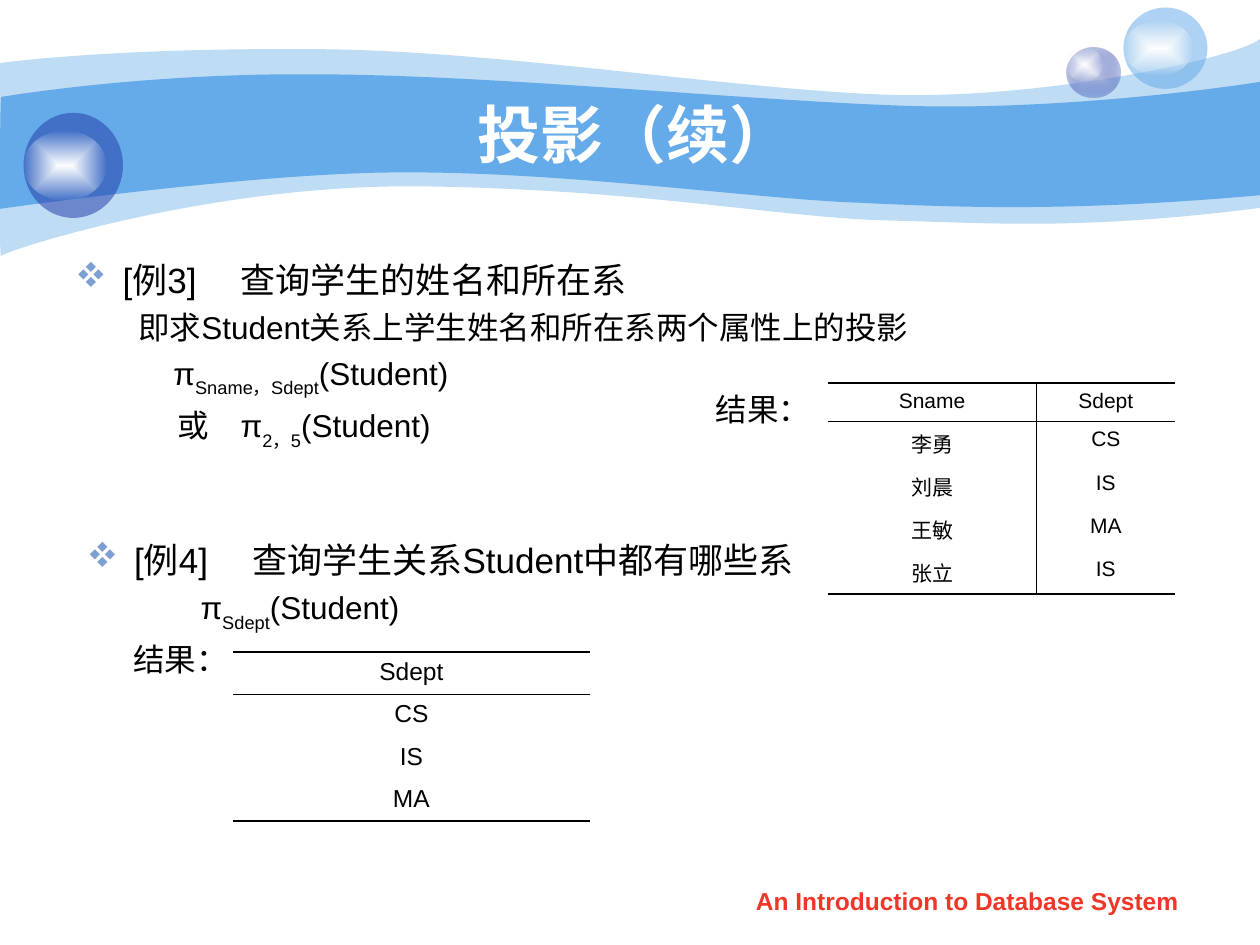
from lxml import etree
from pptx import Presentation
from pptx.dml.color import RGBColor
from pptx.enum import shapes, text
from pptx.oxml import ns
from pptx.util import Pt

WHITE = RGBColor(0xFF, 0xFF, 0xFF)
BLACK = RGBColor(0, 0, 0)
SKY = RGBColor(0x65, 0xAA, 0xE9)
NAVY = RGBColor(0x23, 0x3D, 0xA9)
LAVENDER = RGBColor(0xC6, 0xCC, 0xE8)
BULLET = RGBColor(0x7D, 0xA0, 0xD3)
RED = RGBColor(0xF0, 0x36, 0x28)
ALIGN = text.PP_ALIGN
THICK, THIN = 1.08, 0.45

# Wave outlines: a pair is a straight line's end, six numbers are a Bézier curve
OUTER_WAVE = [(0, 36), (17.3, 33.8, 77, 27.4, 177.8, 28.1),
              (277.9, 28.1, 414, 50.4, 503.3, 54),
              (591.8, 57.6, 705.6, 33.8, 720, 22.3), (720, 118.8),
              (617.8, 131.8, 566.6, 127.4, 507.6, 126),
              (447.8, 124.6, 370.8, 108.7, 247, 106.6),
              (123.8, 103.7, 2.9, 143.3, 0.7, 146.2), (-0.7, 149.8, 0, 54, 0, 36)]
INNER_WAVE = [(0.7, 55.4), (1.4, 55.4, 79.2, 41.8, 178.6, 42.5),
              (277.9, 42.5, 428.4, 57.6, 517, 60.5),
              (605.5, 63.4, 702.7, 49.7, 720, 46.8), (720, 111.6),
              (614.2, 121, 550.8, 118.8, 491, 115.9),
              (431.3, 113.8, 321.8, 97.9, 228.2, 98.6),
              (146.2, 98.6, -1.4, 119.5, -0.7, 119.5), (0, 119.5, 0, 55.4, 0.7, 55.4)]


def add_element(parent, tag, **attributes):
    element = etree.SubElement(parent, ns.qn(tag))
    for name, value in attributes.items():
        element.set(name, str(value))
    return element


def add_color(parent, color, opacity=100):
    element = add_element(parent, "a:srgbClr", val=color)
    if opacity < 100:
        add_element(element, "a:alpha", val=opacity * 1000)


def fill_plain(shape, color, opacity=100):
    shape.shadow.inherit = False
    shape.line.fill.background()
    shape.fill.solid()
    shape.fill.fore_color.rgb = color
    if opacity < 100:
        color_element = shape._element.spPr.find(".//" + ns.qn("a:srgbClr"))
        add_element(color_element, "a:alpha", val=opacity * 1000)


def fill_glow(shape, center, edge, opacity):
    """Gradient running from the middle of the shape to its edges."""
    fill_plain(shape, center)
    solid = shape._element.spPr.find(ns.qn("a:solidFill"))
    gradient = etree.Element(ns.qn("a:gradFill"), rotWithShape="1")
    stops = add_element(gradient, "a:gsLst")
    add_color(add_element(stops, "a:gs", pos=0), center)
    add_color(add_element(stops, "a:gs", pos=100000), edge, opacity)
    middle = add_element(gradient, "a:path", path="rect")
    add_element(middle, "a:fillToRect", l=50000, t=50000, r=50000, b=50000)
    solid.getparent().replace(solid, gradient)


def write(paragraph, *parts, size=18, color=BLACK, bold=False, font="Arial",
          align=ALIGN.LEFT, before=0, margin=0, hanging=0, bullet=None, tab=None):
    """Fill a paragraph; every second part is a subscript."""
    paragraph.alignment = align
    paragraph.space_before = Pt(before)
    properties = paragraph._p.get_or_add_pPr()
    properties.set("marL", str(Pt(margin)))
    properties.set("indent", str(Pt(-hanging)))
    if bullet:
        add_color(add_element(properties, "a:buClr"), BULLET)
        add_element(properties, "a:buFont", typeface="Wingdings", charset=2)
        add_element(properties, "a:buChar", char=bullet)
    else:
        add_element(properties, "a:buNone")
    if tab:
        stops = add_element(properties, "a:tabLst")
        add_element(stops, "a:tab", pos=Pt(tab), algn="l")
    for index, part in enumerate(parts):
        run = paragraph.add_run()
        run.text = part
        run.font.size, run.font.bold, run.font.name = Pt(size), bold, font
        run.font.color.rgb = color
        if index % 2:
            run._r.get_or_add_rPr().set("baseline", "-30000")


def add_text(slide, box, lines, anchor=text.MSO_ANCHOR.TOP, **common):
    """Each line is a tuple of parts and a dictionary of its own format."""
    frame = slide.shapes.add_textbox(*map(Pt, box)).text_frame
    frame.word_wrap = True
    frame.vertical_anchor = anchor
    for index, (parts, own) in enumerate(lines):
        paragraph = frame.add_paragraph() if index else frame.paragraphs[0]
        write(paragraph, *parts, before=4.5 if index else 0, **{**common, **own})


def add_wave(slide, left, top, outline, opacity=100):
    start_x, start_y = outline[0]
    builder = slide.shapes.build_freeform(Pt(left + start_x), Pt(top + start_y))
    builder.add_line_segments([(Pt(left + segment[-2]), Pt(top + segment[-1]))
                               for segment in outline[1:]])
    shape = builder.convert_to_shape()
    # Bend the straight segments into curves around their end points
    lines = list(shape._element.spPr.iter(ns.qn("a:lnTo")))
    for line, segment in zip(lines, outline[1:]):
        if len(segment) == 2:
            continue
        end = line[0]
        end_x, end_y = int(end.get("x")), int(end.get("y"))
        curve = etree.Element(ns.qn("a:cubicBezTo"))
        for x, y in zip(segment[::2], segment[1::2]):
            add_element(curve, "a:pt", x=end_x + Pt(x - segment[-2]),
                        y=end_y + Pt(y - segment[-1]))
        line.getparent().replace(line, curve)
    fill_plain(shape, SKY, opacity)


def add_oval(slide, *box):
    return slide.shapes.add_shape(shapes.MSO_SHAPE.OVAL, *map(Pt, box))


def add_header(slide, left, top, width, height):
    # Waves
    add_wave(slide, left, top, OUTER_WAVE, opacity=41)
    add_wave(slide, left, top, INNER_WAVE)
    # Balls, each with a highlight
    small = add_oval(slide, left + 609.5, top + 27, 31, 29)
    fill_glow(small, LAVENDER, NAVY, 31)
    fill_glow(add_oval(slide, left + 609.5, top + 27, 20.5, 19.5), WHITE, WHITE, 0)
    for x, y, w, h, color, shine in (
            (642, 4.3, 48, 46.5, SKY, (642, 12, 40, 31)),
            (13.5, 64.5, 56.8, 60, NAVY, (13.5, 74.5, 47.5, 40))):
        fill_plain(add_oval(slide, left + x, top + y, w, h), color, 53)
        shine_x, shine_y, *size = shine
        fill_glow(add_oval(slide, left + shine_x, top + shine_y, *size), WHITE, WHITE, 0)
    # Title
    add_text(slide, (left + 72, top + 54, width - 138, height - 105.5),
             [(("投影（续）",), {})], anchor=text.MSO_ANCHOR.MIDDLE,
             size=36, color=WHITE, bold=True, align=ALIGN.CENTER)


def add_border(properties, side, width):
    line = add_element(properties, "a:ln" + side, w=Pt(width))
    if width:
        add_color(add_element(line, "a:solidFill"), BLACK)
    else:
        add_element(line, "a:noFill")


def add_result_table(slide, left, top, widths, heights, rows, size):
    table = slide.shapes.add_table(len(rows), len(widths), Pt(left), Pt(top),
                                   Pt(sum(widths)), Pt(sum(heights))).table
    table.first_row = table.horz_banding = False
    for column, width in zip(table.columns, widths):
        column.width = Pt(width)
    last_row, last_column = len(rows) - 1, len(widths) - 1
    for r, values in enumerate(rows):
        table.rows[r].height = Pt(heights[r])
        for c, value in enumerate(values):
            cell = table.cell(r, c)
            write(cell.text_frame.paragraphs[0], value, size=size, align=ALIGN.CENTER)
            properties = cell._tc.get_or_add_tcPr()
            add_border(properties, "L", THIN if c else 0)
            add_border(properties, "R", THIN if c < last_column else 0)
            add_border(properties, "T", {0: THICK, 1: THIN}.get(r, 0))
            add_border(properties, "B", {0: THIN, last_row: THICK}.get(r, 0))
            cell.fill.background()


def add_example_three(slide, left, top, width, height):
    add_text(slide, (left, top, width, height), [
        (("[例3]\t查询学生的姓名和所在系",),
         dict(size=20, margin=27, hanging=27, bullet="v", tab=94.5)),
        (("即求Student关系上学生姓名和所在系两个属性上的投影",), dict(margin=36)),
        (("π", "Sname，Sdept", "(Student)"), dict(margin=56)),
        (("或\tπ", "2，5", "(Student)"), dict(margin=58.5, tab=105)),
    ])
    # Result
    add_text(slide, (left + 366, top + 75.5, 72, 29), [(("结果：",), {})],
             font="Times New Roman")
    add_result_table(slide, left + 437.1, top + 75, (119.1, 79.5), (21.9,) + (24.65,) * 4,
                     [("Sname", "Sdept"), ("李勇", "CS"), ("刘晨", "IS"),
                      ("王敏", "MA"), ("张立", "IS")], size=12)


def add_example_four(slide, left, top, width, height):
    add_text(slide, (left, top, width, height), [
        (("[例4]\t查询学生关系Student中都有哪些系",),
         dict(size=20, margin=27, hanging=27, bullet="v", tab=94.5)),
        (("π", "Sdept", "(Student)"), dict(margin=65)),
        (("结果：",), dict(margin=26.6)),
    ])
    # Result
    add_result_table(slide, left + 90.6, top + 68.5, (204,), (24.2,) * 4,
                     [("Sdept",), ("CS",), ("IS",), ("MA",)], size=14)


def add_footer(slide, *box):
    add_text(slide, box, [(("An Introduction to Database System",), {})],
             size=14, color=RED, bold=True, align=ALIGN.CENTER)


def main():
    presentation = Presentation()
    presentation.slide_width, presentation.slide_height = Pt(720), Pt(540)
    slide = presentation.slides.add_slide(presentation.slide_layouts[6])
    add_header(slide, 0, 0, 720, 150)
    add_example_three(slide, 36, 144, 664.5, 130)
    add_example_four(slide, 42.5, 304, 657.5, 119)
    add_footer(slide, 411, 502.5, 283.7, 25)
    presentation.save("out.pptx")


if __name__ == "__main__":
    main()
